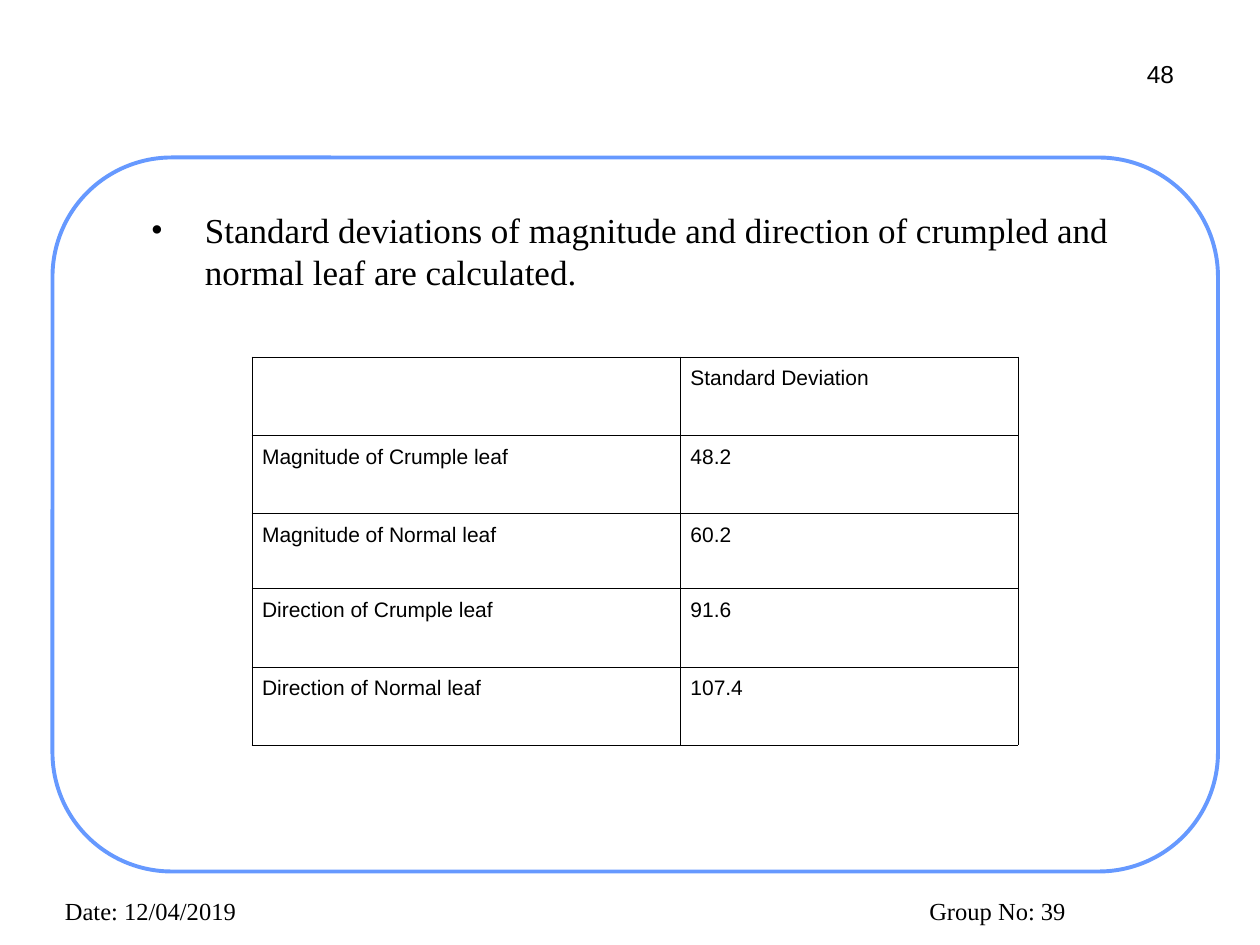
from lxml.etree import SubElement
from pptx import Presentation
from pptx.dml.color import RGBColor
from pptx.enum.shapes import MSO_SHAPE
from pptx.enum.text import PP_ALIGN
from pptx.oxml import parse_xml
from pptx.oxml.ns import nsdecls, qn
from pptx.util import Inches, Pt

BLACK, WHITE, BLUE = "000000", "FFFFFF", "6699FF"
SERIF, SANS = "Times New Roman", "Arial"

deck = Presentation()
deck.slide_width, deck.slide_height = Inches(10), Inches(7.5)
slide = deck.slides.add_slide(deck.slide_layouts[6])
UNIT = deck.slide_width / 120  # grid of 120 columns by 90 rows


def grid(*cells):
    return [round(cell * UNIT) for cell in cells]


def write(paragraph, text, size, face, align):
    paragraph.text = text
    paragraph.alignment = align
    font = paragraph.font
    font.size, font.name, font.bold = Pt(size), face, False
    font.color.rgb = RGBColor.from_string(BLACK)


# Rounded frame
frame = slide.shapes.add_shape(MSO_SHAPE.ROUNDED_RECTANGLE, *grid(5, 15, 111, 68))
frame.adjustments[0] = 0.167
frame.shadow.inherit = False
frame.fill.solid()
frame.fill.fore_color.rgb = RGBColor.from_string(WHITE)
frame.line.color.rgb = RGBColor.from_string(BLUE)
frame.line.width = Pt(2.25)

# Bulleted statement
body = slide.shapes.add_textbox(*grid(11, 19, 99, 61)).text_frame
body.word_wrap = True
body.margin_left, body.margin_top = Inches(0.28), Inches(0.07)
statement = body.paragraphs[0]
properties = statement._p.get_or_add_pPr()
properties.set("marL", str(Inches(0.43)))
properties.set("indent", str(Inches(-0.43)))
SubElement(properties, qn("a:buFont"), typeface=SERIF)
SubElement(properties, qn("a:buChar"), char="•")
write(statement,
      "Standard deviations of magnitude and direction of crumpled and normal leaf are calculated.",
      20, SERIF, PP_ALIGN.LEFT)
statement.line_spacing = Pt(24)

# Date, group and page number
for text, left, top, width, face, align in [
    ("Date: 12/04/2019", 5, 84.75, 28, SERIF, PP_ALIGN.LEFT),
    ("Group No: 39", 76, 84.75, 38, SERIF, PP_ALIGN.CENTER),
    ("48", 92, 5, 21, SANS, PP_ALIGN.RIGHT),
]:
    label = slide.shapes.add_textbox(*grid(left, top, width, 6.25)).text_frame
    label.word_wrap = True
    write(label.paragraphs[0], text, 14, face, align)

# Table of deviations
deviations = [
    ("", "Standard Deviation"),
    ("Magnitude of Crumple leaf", "48.2"),
    ("Magnitude of Normal leaf", "60.2"),
    ("Direction of Crumple leaf", "91.6"),
    ("Direction of Normal leaf", "107.4"),
]
table = slide.shapes.add_table(len(deviations), 2, *grid(24, 34, 73, 37)).table
table.first_row = table.horz_banding = False
for column, width in zip(table.columns, (3.4, 2.68)):
    column.width = Inches(width)
for row, height, texts in zip(table.rows, (0.62, 0.62, 0.6, 0.62, 0.62), deviations):
    row.height = Inches(height)
    for cell, text in zip(row.cells, texts):
        cell.margin_left = cell.margin_right = Inches(0.08)
        entry = cell.text_frame.paragraphs[0]
        write(entry, text, 12, SANS, PP_ALIGN.JUSTIFY)
        entry.line_spacing, entry.space_after = 1.15, Pt(10)
        borders = cell._tc.get_or_add_tcPr()
        for side in ("lnL", "lnR", "lnT", "lnB"):
            borders.append(parse_xml(
                f'<a:{side} {nsdecls("a")} w="{Pt(0.45)}"><a:solidFill>'
                f'<a:srgbClr val="{BLACK}"/></a:solidFill></a:{side}>'))
        cell.fill.background()

deck.save("out.pptx")
